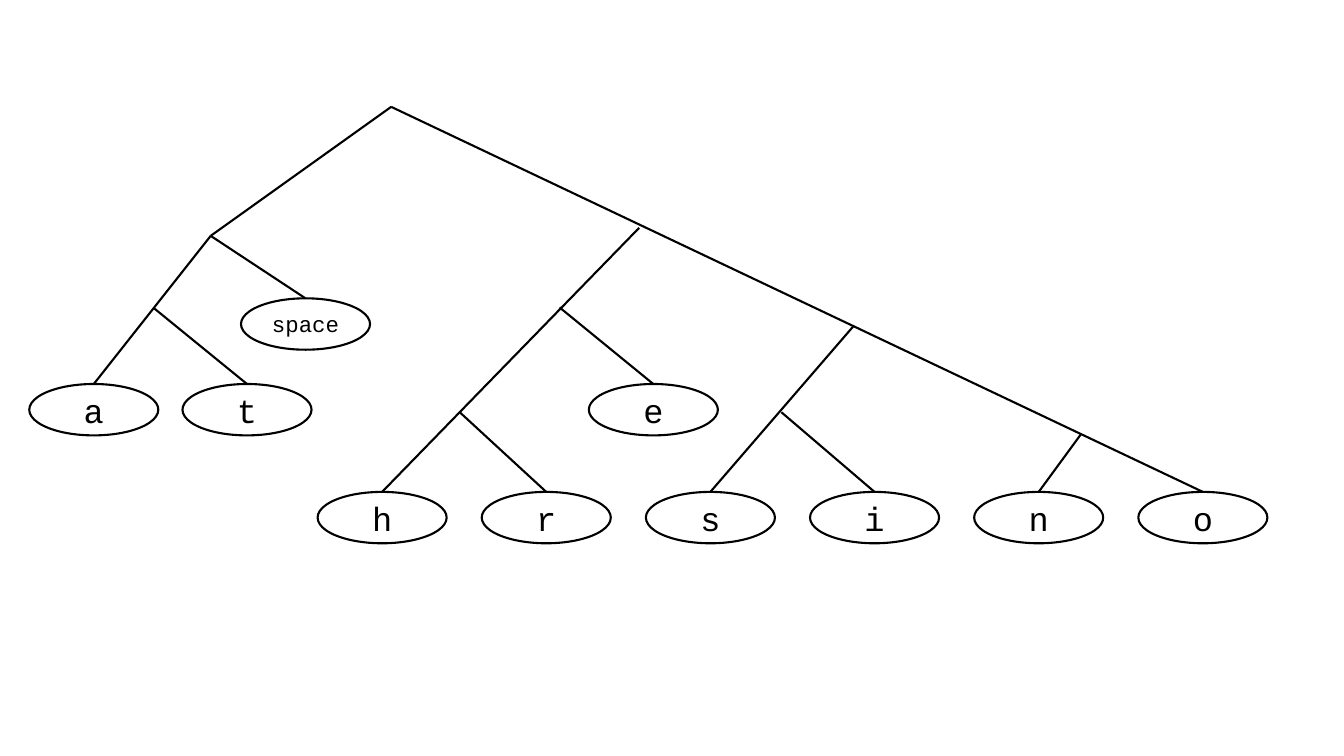
from dataclasses import dataclass

from lxml import etree
from pptx import Presentation
from pptx.dml.color import RGBColor
from pptx.enum.shapes import MSO_CONNECTOR, MSO_SHAPE
from pptx.enum.text import MSO_ANCHOR, PP_ALIGN
from pptx.oxml.ns import qn
from pptx.util import Inches, Pt

ELLIPSE = MSO_SHAPE.OVAL
STRAIGHT = MSO_CONNECTOR.STRAIGHT
MIDDLE = MSO_ANCHOR.MIDDLE
CENTER = PP_ALIGN.CENTER


@dataclass(frozen=True)
class Theme:
    """Colours, type and line sizes of the slide."""
    ink: RGBColor = RGBColor(0, 0, 0)
    font: str = "Courier New"
    letter_size: int = 24
    word_size: int = 16
    stroke: float = 1.5


theme = Theme()
deck = Presentation()
deck.slide_width, deck.slide_height = Inches(13.33), Inches(7.5)
slide = deck.slides.add_slide(deck.slide_layouts[6])


def add_branch(start, end):
    """Draw a tree edge between two points given in inches."""
    branch = slide.shapes.add_connector(
        STRAIGHT, *(Inches(length) for length in (*start, *end)))
    branch.line.color.rgb = theme.ink
    branch.line.width = Pt(theme.stroke)
    etree.SubElement(branch._element.spPr, qn("a:effectLst"))


def add_leaf(symbol, center, top):
    """Draw a leaf ellipse holding one symbol."""
    leaf = slide.shapes.add_shape(
        ELLIPSE, Inches(center - LEAF_WIDTH / 2), Inches(top),
        Inches(LEAF_WIDTH), Inches(LEAF_HEIGHT))
    leaf.shadow.inherit = False
    leaf.fill.background()
    leaf.line.color.rgb = theme.ink
    leaf.line.width = Pt(theme.stroke)
    leaf.text_frame.vertical_anchor = MIDDLE
    line = leaf.text_frame.paragraphs[0]
    line.alignment = CENTER
    label = line.add_run()
    label.text = symbol
    size = theme.letter_size if len(symbol) == 1 else theme.word_size
    for attribute, value in {"name": theme.font, "size": Pt(size)}.items():
        setattr(label.font, attribute, value)
    label.font.color.rgb = theme.ink


LEAF_WIDTH, LEAF_HEIGHT = 1.28, 0.51
SPACE_ROW, MIDDLE_ROW, BOTTOM_ROW = 2.96, 3.81, 4.88
FIRST_COLUMN, LAST_COLUMN = 3.79, 11.93

root = (3.88, 1.06)
left_fork = (2.09, 2.34)

# Each leaf: symbol, center, top, and the fork its branch leaves from
leaves = [
    ("a", 0.93, MIDDLE_ROW, left_fork),
    ("t", 2.45, MIDDLE_ROW, (1.53, 3.06)),
    ("space", 3.03, SPACE_ROW, left_fork),
    ("e", 6.48, MIDDLE_ROW, (5.55, 3.05)),
]
bottom_forks = {
    "h": (6.34, 2.26),
    "r": (4.56, 4.09),
    "s": (8.47, 3.23),
    "i": (7.75, 4.09),
    "n": (10.72, 4.31),
    "o": root,
}
pitch = (LAST_COLUMN - FIRST_COLUMN) / (len(bottom_forks) - 1)
for column, (symbol, fork) in enumerate(bottom_forks.items()):
    leaves.append((symbol, FIRST_COLUMN + column * pitch, BOTTOM_ROW, fork))

add_branch(root, left_fork)
for symbol, center, top, fork in leaves:
    add_branch(fork, (center, top))
    add_leaf(symbol, center, top)

deck.save("out.pptx")
